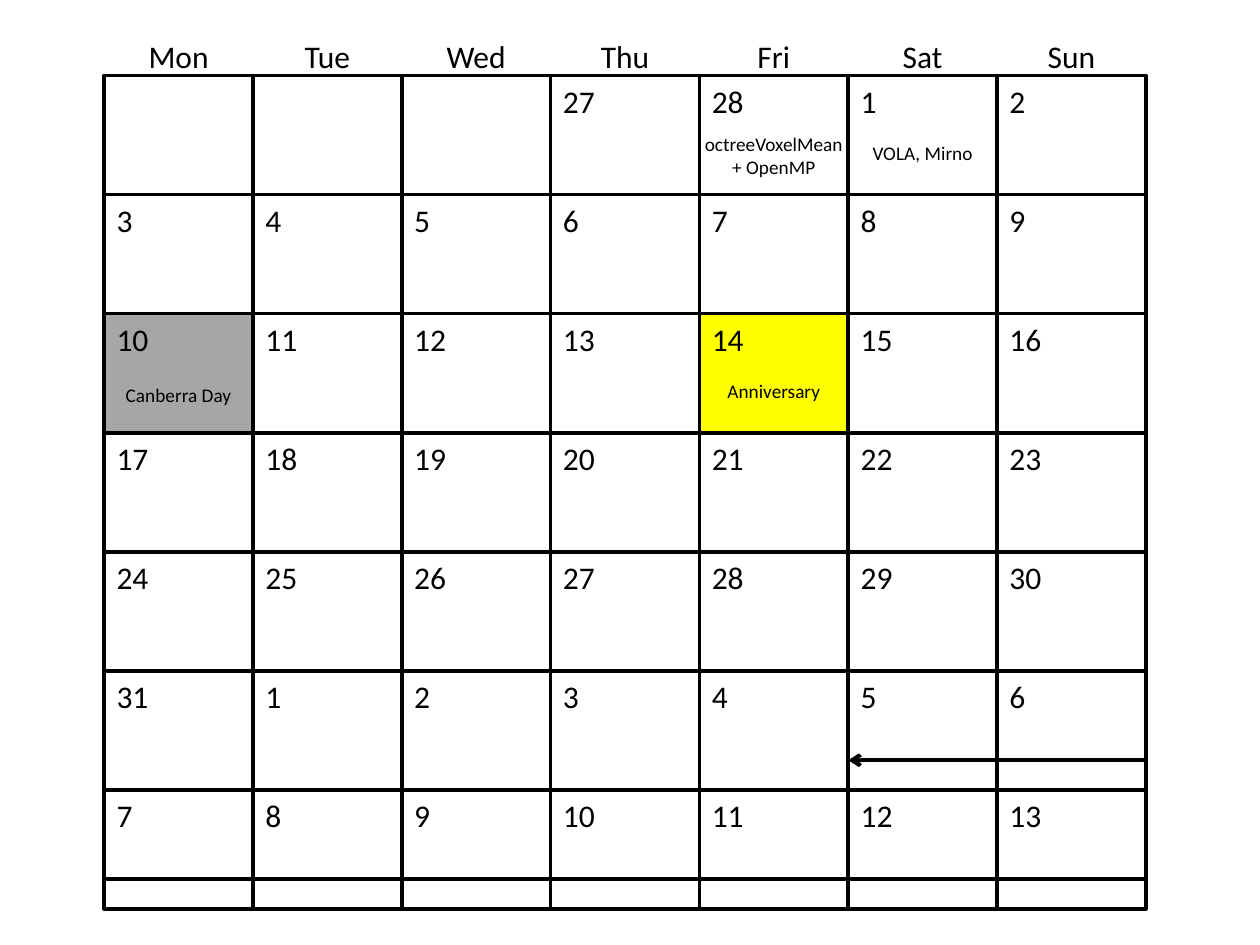
from dataclasses import dataclass
from itertools import chain

from lxml.etree import SubElement
from pptx import Presentation
from pptx.dml.color import RGBColor
from pptx.enum.shapes import MSO_CONNECTOR as Connector, MSO_SHAPE as Shape
from pptx.enum.text import MSO_ANCHOR as Anchor, MSO_AUTO_SIZE as AutoSize, PP_ALIGN as Align
from pptx.oxml.ns import qn
from pptx.util import Inches, Mm, Pt


@dataclass(frozen=True)
class Theme:
    font: str = "Calibri"
    ink: RGBColor = RGBColor(0, 0, 0)
    holiday: RGBColor = RGBColor(0xA6, 0xA6, 0xA6)
    celebration: RGBColor = RGBColor(0xFF, 0xFF, 0)
    day_size: float = 18
    note_size: float = 11
    border: float = 2
    rule: float = 2.25


@dataclass(frozen=True)
class Grid:
    left: float = 21
    top: float = 15.25
    column: float = 30
    row: float = 24

    def point(self, column, row):
        return Mm(self.left + column * self.column), Mm(self.top + row * self.row)

    def area(self, column, row, columns=1, rows=1):
        return *self.point(column, row), Mm(columns * self.column), Mm(rows * self.row)


THEME = Theme()
GRID = Grid()
WEEKDAYS = ["Mon", "Tue", "Wed", "Thu", "Fri", "Sat", "Sun"]
DAYS = [""] * 3 + [str(day) for day in chain(range(27, 29), range(1, 32), range(1, 14))]
HIGHLIGHTS = {(0, 2): THEME.holiday, (4, 2): THEME.celebration}
HEADER_ROWS = 0.33
NOTE_COLUMNS = 1.13
NOTES = [
    (4, 0.42, 0.5, ["octreeVoxelMean", "+ OpenMP"]),
    (5, 0.5, 0.31, ["VOLA, Mirno"]),
    (4, 2.5, 0.31, ["Anniversary"]),
    (0, 2.53, 0.31, ["Canberra Day"]),
]


def write_lines(frame, lines, size, align):
    for index, line in enumerate(lines):
        para = frame.paragraphs[0] if index == 0 else frame.add_paragraph()
        para.alignment = align
        span = para.add_run()
        span.text = line
        span.font.name = THEME.font
        span.font.size = Pt(size)
        span.font.color.rgb = THEME.ink


def add_day(page, column, row, day):
    box = page.shapes.add_shape(Shape.RECTANGLE, *GRID.area(column, row))
    box.shadow.inherit = False
    box.line.color.rgb = THEME.ink
    box.line.width = Pt(THEME.border)
    if (column, row) in HIGHLIGHTS:
        box.fill.solid()
        box.fill.fore_color.rgb = HIGHLIGHTS[column, row]
    else:
        box.fill.background()
    box.text_frame.vertical_anchor = Anchor.TOP
    if day:
        write_lines(box.text_frame, [day], THEME.day_size, Align.LEFT)


def add_label(page, area, lines, size):
    frame = page.shapes.add_textbox(*area).text_frame
    frame.word_wrap = True
    write_lines(frame, lines, size, Align.CENTER)
    return frame


def add_weekday(page, column, name):
    area = GRID.area(column, -HEADER_ROWS, rows=HEADER_ROWS)
    frame = add_label(page, area, [name], THEME.day_size)
    frame.vertical_anchor = Anchor.MIDDLE


def add_note(page, column, row, rows, lines):
    overhang = (NOTE_COLUMNS - 1) / 2
    area = GRID.area(column - overhang, row, NOTE_COLUMNS, rows)
    frame = add_label(page, area, lines, THEME.note_size)
    frame.auto_size = AutoSize.SHAPE_TO_FIT_TEXT


def add_rule(page, first_column, row, arrow=False):
    start, end = GRID.point(first_column, row), GRID.point(len(WEEKDAYS), row)
    rule = page.shapes.add_connector(Connector.STRAIGHT, *start, *end)
    rule.line.color.rgb = THEME.ink
    rule.line.width = Pt(THEME.rule)
    if arrow:
        SubElement(rule.line._get_or_add_ln(), qn("a:headEnd"), type="arrow")
    SubElement(rule._element.spPr, qn("a:effectLst"))


def main():
    deck = Presentation()
    deck.slide_width, deck.slide_height = Inches(10), Inches(7.5)
    page = deck.slides.add_slide(deck.slide_layouts[6])
    for index, day in enumerate(DAYS):
        row, column = divmod(index, len(WEEKDAYS))
        add_day(page, column, row, day)
    for column, name in enumerate(WEEKDAYS):
        add_weekday(page, column, name)
    add_rule(page, 0, 6.75)
    for note in NOTES:
        add_note(page, *note)
    add_rule(page, 5, 5.75, arrow=True)
    deck.save("out.pptx")


if __name__ == "__main__":
    main()
